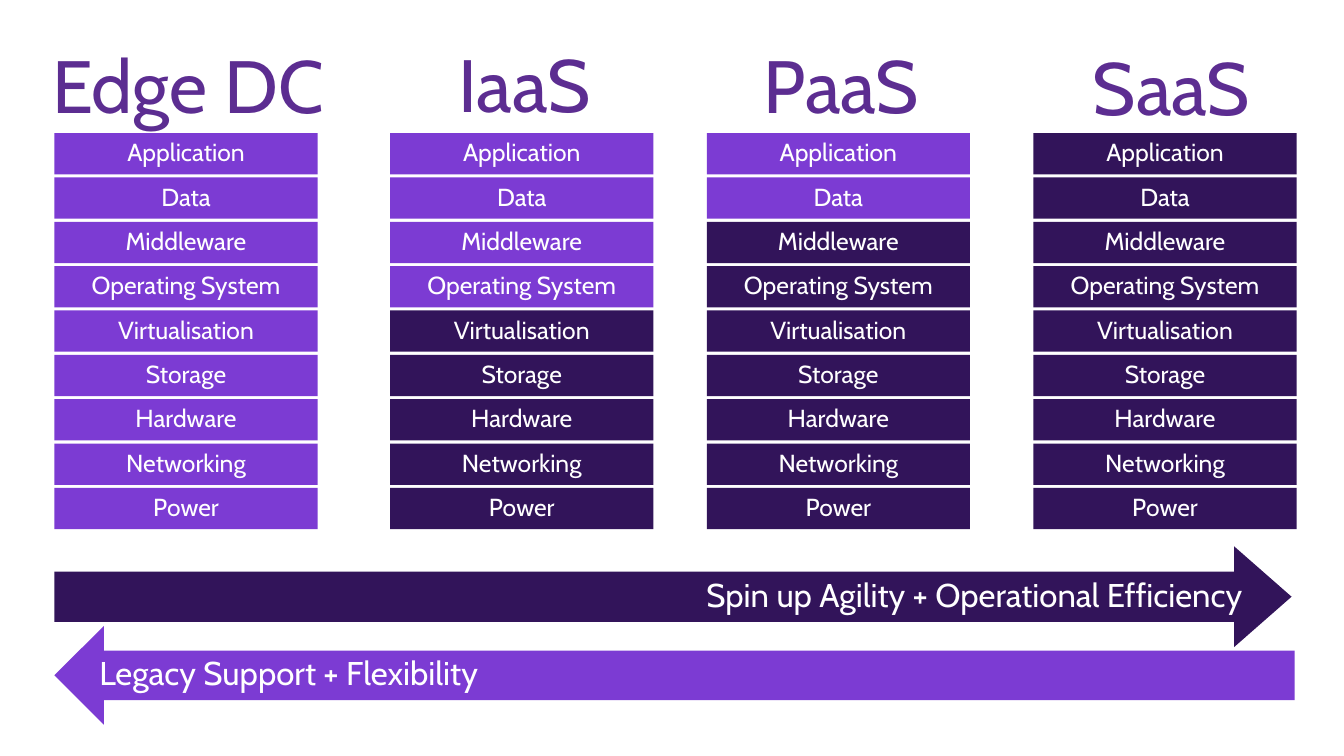
"""Build a slide comparing who manages each layer in four hosting models."""
import pptx
import pptx.dml.color
import pptx.enum.shapes
import pptx.enum.text
import pptx.util

Inches = pptx.util.Inches
Align = pptx.enum.text.PP_ALIGN
Anchor = pptx.enum.text.MSO_ANCHOR
Shape = pptx.enum.shapes.MSO_SHAPE

COLOURS = {"customer": "7C3BD3", "provider": "32145A", "heading": "5C2D91", "white": "FFFFFF"}
FRAME = {
    "word_wrap": True,
    "margin_left": Inches(0.2), "margin_right": Inches(0.2),
    "margin_top": Inches(0.16), "margin_bottom": Inches(0.16),
}
LAYERS = ["Application", "Data", "Middleware", "Operating System", "Virtualisation",
          "Storage", "Hardware", "Networking", "Power"]
MODELS = [
    ("Edge DC", 0.54, 9, (0.17, 0.33, 3.39)),
    ("IaaS", 3.87, 4, (3.82, 0.32, 2.77)),
    ("PaaS", 7.01, 2, (6.96, 0.33, 2.77)),
    ("SaaS", 10.25, 0, (10.21, 0.35, 2.82)),
]
ARROWS = [
    ("Spin up Agility + Operational Efficiency", Shape.RIGHT_ARROW, "provider",
     (0.54, 5.42, 12.27, 1), 0.57, Align.RIGHT),
    ("Legacy Support + Flexibility", Shape.LEFT_ARROW, "customer",
     (0.54, 6.21, 12.3, 0.98), 0.5, Align.LEFT),
]
ROW_TOP, ROW_STEP, ROW_WIDTH, ROW_HEIGHT = 1.32, 0.44, 2.61, 0.41


def write(box, text, size, colour, align, anchor):
    """Put one formatted line of text in a box."""
    frame = box.text_frame
    for name, value in {**FRAME, "vertical_anchor": anchor}.items():
        setattr(frame, name, value)
    para = frame.paragraphs[0]
    para.alignment = align
    para.line_spacing = 0.9
    span = para.add_run()
    span.text = text
    for name, value in {"name": "Cabin", "size": pptx.util.Pt(size)}.items():
        setattr(span.font, name, value)
    span.font.color.rgb = pptx.dml.color.RGBColor.from_string(COLOURS[colour])
    return para


def add_block(kind, place, fill):
    """Add a filled shape without line or shadow."""
    block = page.shapes.add_shape(kind, *map(Inches, place))
    block.shadow.inherit = False
    block.fill.solid()
    block.fill.fore_color.rgb = pptx.dml.color.RGBColor.from_string(COLOURS[fill])
    block.line.fill.background()
    return block


deck = pptx.Presentation()
deck.slide_width, deck.slide_height = Inches(13.33), Inches(7.5)
page = deck.slides.add_slide(deck.slide_layouts[6])

for model, left, customer_layers, (heading_left, heading_top, heading_width) in MODELS:
    for row, layer in enumerate(LAYERS):
        owner = "customer" if row < customer_layers else "provider"
        place = (left, ROW_TOP + row * ROW_STEP, ROW_WIDTH, ROW_HEIGHT)
        block = add_block(Shape.RECTANGLE, place, owner)
        write(block, layer, 17.6, "white", Align.CENTER, Anchor.MIDDLE)
    heading = page.shapes.add_textbox(
        *map(Inches, (heading_left, heading_top, heading_width, 1.12)))
    para = write(heading, model, 52.9, "heading", Align.CENTER, Anchor.TOP)
    para.space_after = pptx.util.Pt(5.9)
    heading.text_frame.auto_size = pptx.enum.text.MSO_AUTO_SIZE.SHAPE_TO_FIT_TEXT

for text, kind, fill, place, head, align in ARROWS:
    arrow = add_block(kind, place, fill)
    arrow.adjustments[1] = head
    write(arrow, text, 23.5, "white", align, Anchor.MIDDLE)

deck.save("out.pptx")
